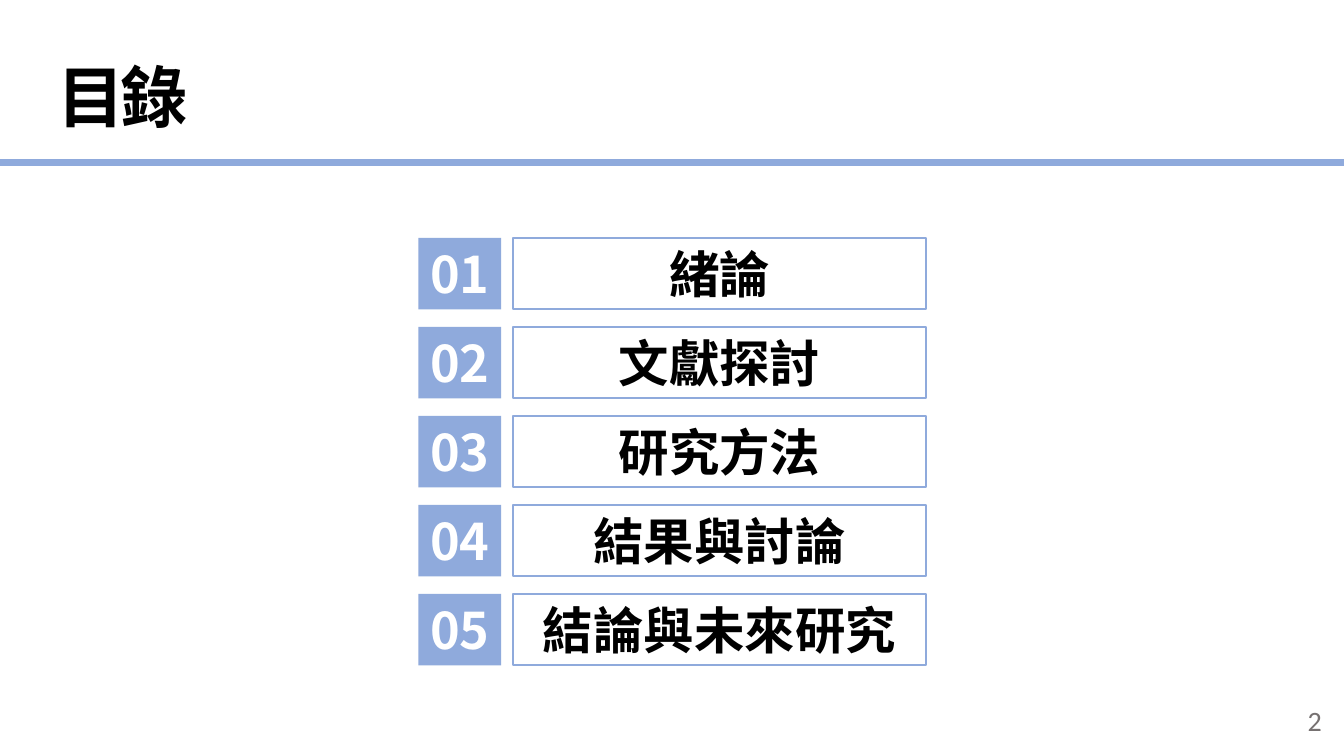
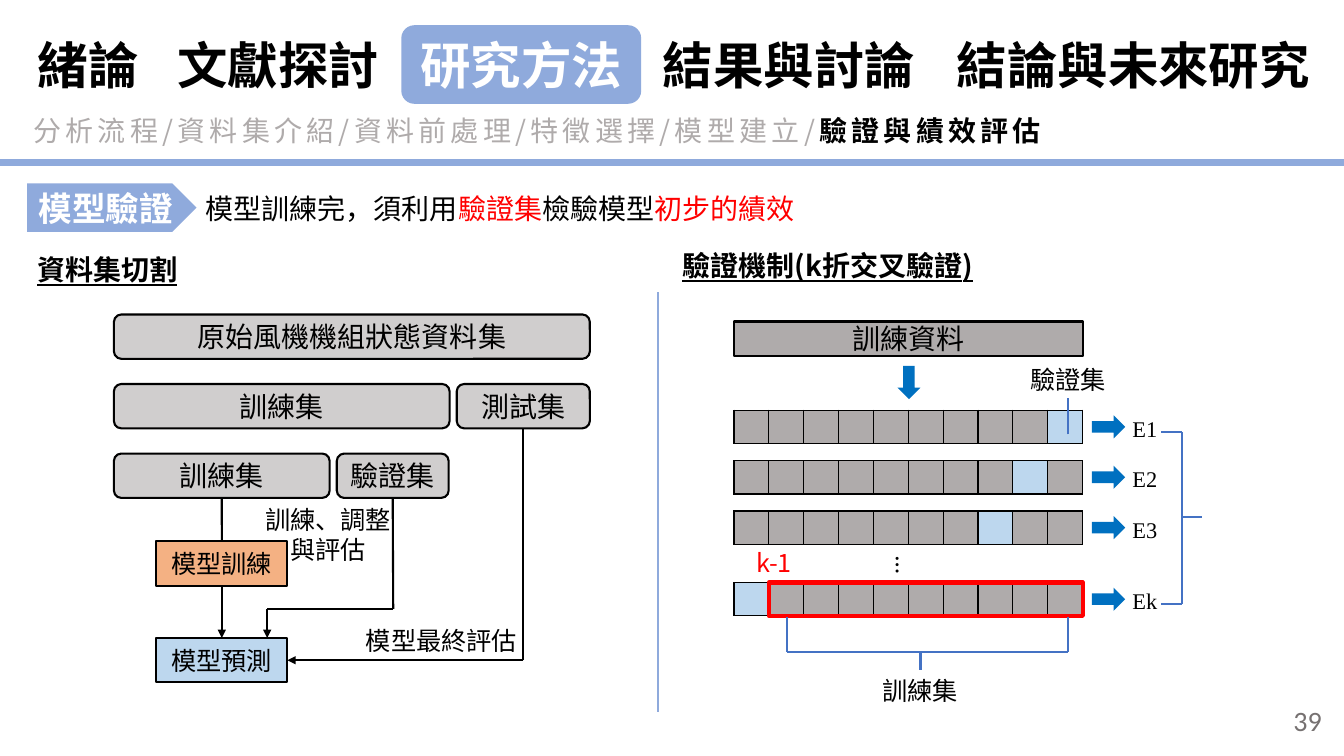
from pptx import Presentation
from pptx.dml.color import RGBColor
from pptx.enum import shapes, text
from pptx.oxml import ns, xmlchemy
from pptx.util import Inches, Pt

CJK, LATIN, SERIF = "Noto Sans CJK SC", "Calibri", "Times New Roman"
BLACK, WHITE, RED = "000000", "FFFFFF", "FF0000"
ACCENT, BRACKET, ARROW = "8FAADC", "4472C4", "0070C0"
GRAY, LIGHT_GRAY, PAGE_GRAY = "AFABAB", "D0CECE", "767171"
PALE_BLUE, ORANGE = "BDD7EE", "F4B183"
LEFT, CENTER, RIGHT = text.PP_ALIGN.LEFT, text.PP_ALIGN.CENTER, text.PP_ALIGN.RIGHT
TOP, MIDDLE = text.MSO_ANCHOR.TOP, text.MSO_ANCHOR.MIDDLE
KIND = shapes.MSO_SHAPE
BOTTOM_SIDE, TOP_SIDE = 2, 0

SECTIONS = ["緒論", "文獻探討", "研究方法", "結果與討論", "結論與未來研究"]
FOLD_COUNT = 10
FOLDS_LEFT, FOLDS_WIDTH, FOLD_HEIGHT = 7.28, 3.46, 0.33
FOLD_WIDTH = FOLDS_WIDTH / FOLD_COUNT


def rgb(color):
    return RGBColor.from_string(color)


def inches(values):
    return [Inches(value) for value in values]


def add_element(parent, tag, **attributes):
    element = xmlchemy.OxmlElement(tag)
    for name, value in attributes.items():
        element.set(name, value)
    parent.append(element)
    return element


def write(shape, content, size, color=BLACK, bold=None, font=CJK, align=CENTER,
          anchor=MIDDLE, underline=None, tracking=None, spacing=None):
    """Fill a shape with lines of text, or with one line of (text, color, bold) runs."""
    frame = shape.text_frame
    frame.word_wrap = True
    frame.auto_size = text.MSO_AUTO_SIZE.NONE
    frame.vertical_anchor = anchor
    if isinstance(content, str):
        frame.text = content
    else:
        for words, run_color, run_bold in content:
            run = frame.paragraphs[0].add_run()
            run.text = words
            run.font.color.rgb = rgb(run_color)
            run.font.bold = run_bold
    for paragraph in frame.paragraphs:
        paragraph.alignment = align
        paragraph.line_spacing = spacing
        style = paragraph.font
        style.name, style.size = font, Pt(size)
        style.bold, style.underline = bold, underline
        style.color.rgb = rgb(color)
        properties = paragraph._p.pPr.find(ns.qn("a:defRPr"))
        add_element(properties, "a:ea", typeface=font)
        if tracking:
            properties.set("spc", str(tracking * 100))


def add_text(slide, box, content, size, **style):
    shape = slide.shapes.add_textbox(*inches(box))
    write(shape, content, size, **{"anchor": TOP, **style})
    return shape


def add_box(slide, kind, box, fill=None, line=None, width=1.5):
    shape = slide.shapes.add_shape(kind, *inches(box))
    shape.shadow.inherit = False
    if fill:
        shape.fill.solid()
        shape.fill.fore_color.rgb = rgb(fill)
    else:
        shape.fill.background()
    if line:
        shape.line.color.rgb = rgb(line)
        shape.line.width = Pt(width)
    else:
        shape.line.fill.background()
    return shape


def add_label(slide, kind, box, words, size, fill=None, line=None, **style):
    shape = add_box(slide, kind, box, fill, line)
    write(shape, words, size, **style)
    return shape


def add_line(slide, start, end, color=BLACK, width=1.5, arrow=False):
    connector = slide.shapes.add_connector(
        shapes.MSO_CONNECTOR.STRAIGHT, *inches(start + end))
    connector.line.color.rgb = rgb(color)
    connector.line.width = Pt(width)
    properties = connector._element.spPr
    if arrow:
        add_element(properties.find(ns.qn("a:ln")), "a:tailEnd", type="triangle")
    add_element(properties, "a:effectLst")
    return connector


def add_polyline(slide, points, color=BLACK, arrow=False):
    """Draw straight connectors through the points and return them."""
    last = len(points) - 2
    return [add_line(slide, start, end, color, arrow=arrow and index == last)
            for index, (start, end) in enumerate(zip(points, points[1:]))]


def add_fold_row(slide, top, validation):
    """Draw one row of folds with the validation fold highlighted."""
    table = slide.shapes.add_table(1, FOLD_COUNT, *inches(
        (FOLDS_LEFT, top, FOLDS_WIDTH, FOLD_HEIGHT))).table
    table.first_row = table.horz_banding = False
    for index, cell in enumerate(table.iter_cells()):
        cell.margin_top = cell.margin_bottom = 0
        properties = cell._tc.get_or_add_tcPr()
        for side in ("a:lnL", "a:lnR", "a:lnT", "a:lnB"):
            border = add_element(properties, side, w=str(Pt(1)))
            add_element(add_element(border, "a:solidFill"), "a:srgbClr", val=BLACK)
        cell.fill.solid()
        cell.fill.fore_color.rgb = rgb(PALE_BLUE if index == validation else GRAY)


def add_slide(presentation, number, title_box, title, size, **style):
    """Add a slide with its title, rule and page number."""
    slide = presentation.slides.add_slide(presentation.slide_layouts[5])
    heading = slide.shapes.title
    heading.left, heading.top, heading.width, heading.height = inches(title_box)
    write(heading, title, size, anchor=TOP, **style)
    add_line(slide, (0, 1.61), (13.33, 1.61), ACCENT, 5)
    add_text(slide, (10.21, 6.95, 3, 0.4), number, 20, color=PAGE_GRAY,
             font=LATIN, align=RIGHT, anchor=MIDDLE)
    return slide


def build_contents(presentation):
    slide = add_slide(presentation, "2", (0.36, 0.5, 1.72, 0.91), "目錄", 48,
                      bold=True, tracking=-3)
    for index, section in enumerate(SECTIONS):
        top = 2.36 + 0.883 * index
        add_label(slide, KIND.RECTANGLE, (4.15, top, 0.82, 0.71), f"{index + 1:02}",
                  36, fill=ACCENT, color=WHITE, bold=True)
        add_label(slide, KIND.RECTANGLE, (5.09, top, 4.09, 0.71), section,
                  36, line=ACCENT, bold=True)


def add_navigation(slide, current):
    spans = [(0.19, 1.37), (1.56, 2.4), (3.98, 2.38), (6.38, 2.89), (9.26, 3.96)]
    for section, (left, width) in zip(SECTIONS, spans):
        active = section == current
        add_label(slide, KIND.ROUNDED_RECTANGLE, (left, 0.25, width, 0.78), section,
                  36, fill=ACCENT if active else None,
                  color=WHITE if active else BLACK, bold=True)


def add_split_diagram(slide):
    """Show how the data set is divided and which part feeds which step."""
    add_text(slide, (0.27, 2.46, 1.68, 0.44), "資料集切割", 20,
             bold=True, underline=True, align=LEFT)
    parts = [("原始風機機組狀態資料集", 1.13, 3.12, 4.72), ("訓練集", 1.13, 3.81, 3.33),
             ("測試集", 4.53, 3.81, 1.32), ("訓練集", 1.13, 4.5, 2.14),
             ("驗證集", 3.34, 4.5, 1.11)]
    _, _, test_set, training_set, validation_set = [
        add_label(slide, KIND.ROUNDED_RECTANGLE, (left, top, width, 0.44), words, 20,
                  fill=LIGHT_GRAY, line=BLACK) for words, left, top, width in parts]
    training, prediction = [
        add_label(slide, KIND.RECTANGLE, (1.55, top, 1.3, 0.44), words, 18,
                  fill=fill, line=BLACK)
        for words, top, fill in [("模型訓練", 5.37, ORANGE), ("模型預測", 6.33, PALE_BLUE)]]

    feed = add_line(slide, (2.2, 4.94), (2.2, 5.37))
    feed.begin_connect(training_set, BOTTOM_SIDE)
    feed.end_connect(training, TOP_SIDE)
    result = add_line(slide, (2.2, 5.81), (2.2, 6.33), arrow=True)
    result.begin_connect(training, BOTTOM_SIDE)
    result.end_connect(prediction, TOP_SIDE)

    tuning = add_polyline(slide, [(3.9, 4.94), (3.9, 6.04), (2.65, 6.04), (2.65, 6.33)],
                          arrow=True)
    tuning[0].begin_connect(validation_set, BOTTOM_SIDE)
    testing = add_polyline(slide, [(5.19, 4.25), (5.19, 6.55), (2.85, 6.55)], arrow=True)
    testing[0].begin_connect(test_set, BOTTOM_SIDE)
    testing[-1].end_connect(prediction, 3)
    add_text(slide, (2.51, 4.95, 1.49, 0.71), "訓練、調整\n與評估", 18)
    add_text(slide, (3.5, 6.15, 1.76, 0.4), "模型最終評估", 18)


def add_cross_validation(slide):
    """Show k-fold cross validation as rows of folds."""
    add_text(slide, (6.67, 2.42, 3.6, 0.44), "驗證機制(k折交叉驗證)", 20,
             bold=True, underline=True, align=LEFT)
    add_label(slide, KIND.RECTANGLE, (FOLDS_LEFT, 3.19, FOLDS_WIDTH, 0.34),
              "訓練資料", 20, fill=GRAY, line=BLACK)
    add_box(slide, KIND.DOWN_ARROW, (8.9, 3.63, 0.23, 0.33), ARROW)

    rows = [("E1", 4.07, 9), ("E2", 4.57, 8), ("E3", 5.07, 7), ("Ek", 5.78, 0)]
    for words, top, validation in rows:
        add_fold_row(slide, top, validation)
        add_box(slide, KIND.RIGHT_ARROW, (10.83, top + 0.05, 0.33, 0.23), ARROW)
        add_text(slide, (11.09, top, 0.53, 0.37), words, 16, font=SERIF)
    dots = add_text(slide, (8.66, 5.24, 1.21, 0.74), "…", 18, font=LATIN, spacing=2.5)
    dots.rotation = 90

    add_box(slide, KIND.RECTANGLE,
            (FOLDS_LEFT + FOLD_WIDTH, 5.78, FOLDS_WIDTH - FOLD_WIDTH, FOLD_HEIGHT),
            line=RED, width=3)
    add_text(slide, (7.18, 5.38, 1, 0.4), "k-1", 18, color=RED)
    add_text(slide, (10.09, 3.57, 1.01, 0.4), "驗證集", 18)
    add_text(slide, (8.62, 6.65, 1.01, 0.4), "訓練集", 18)
    brackets = [
        [(10.59, 4.31), (10.59, 3.95)],
        [(7.81, 6.12), (7.81, 6.47), (10.59, 6.47), (10.59, 6.12)],
        [(9.13, 6.47), (9.13, 6.65)],
        [(11.52, 4.29), (11.72, 4.29), (11.72, 5.99), (11.52, 5.99)],
        [(11.72, 5.13), (11.92, 5.13)],
    ]
    for points in brackets:
        add_polyline(slide, points, BRACKET)


def build_validation(presentation):
    topics = [("分析流程/資料集介紹/資料前處理/特徵選擇/模型建立/", GRAY, None),
              ("驗證與績效評估", BLACK, True)]
    slide = add_slide(presentation, "39", (0.23, 1.08, 12.98, 0.44), topics, 20,
                      align=LEFT, tracking=3)
    add_navigation(slide, "研究方法")
    add_label(slide, KIND.PENTAGON, (0.27, 1.82, 1.68, 0.48), "模型驗證", 24,
              fill=ACCENT, color=WHITE, bold=True)
    summary = [("模型訓練完，須利用", BLACK, None), ("驗證集", RED, None),
               ("檢驗模型", BLACK, None), ("初步的績效", RED, None)]
    add_text(slide, (1.94, 1.85, 6.36, 0.44), summary, 20, align=LEFT)
    add_line(slide, (6.53, 2.9), (6.53, 7.06), ACCENT)
    add_split_diagram(slide)
    add_cross_validation(slide)


def main():
    presentation = Presentation()
    presentation.slide_width, presentation.slide_height = inches((13.33, 7.5))
    build_contents(presentation)
    build_validation(presentation)
    presentation.save("out.pptx")


if __name__ == "__main__":
    main()
